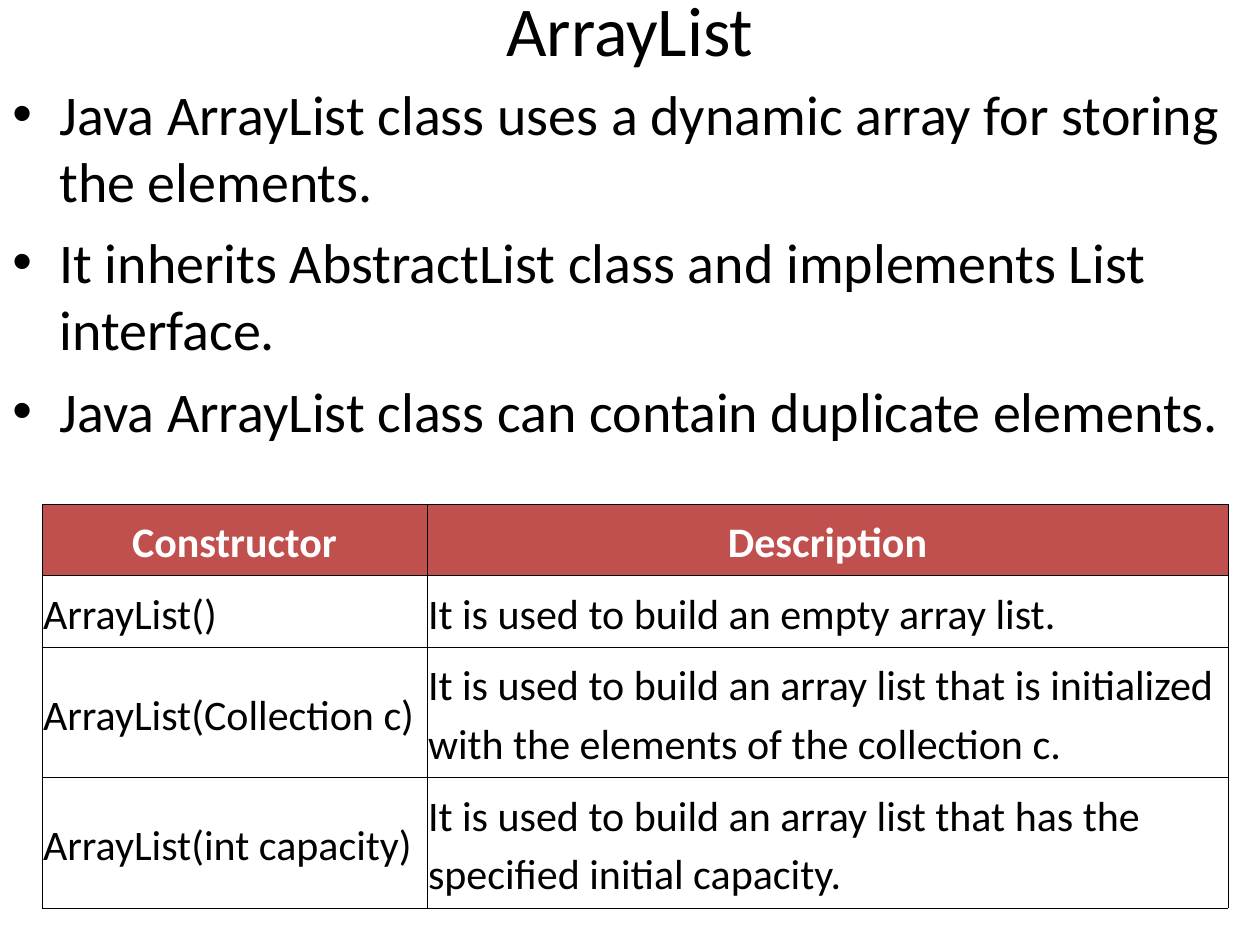
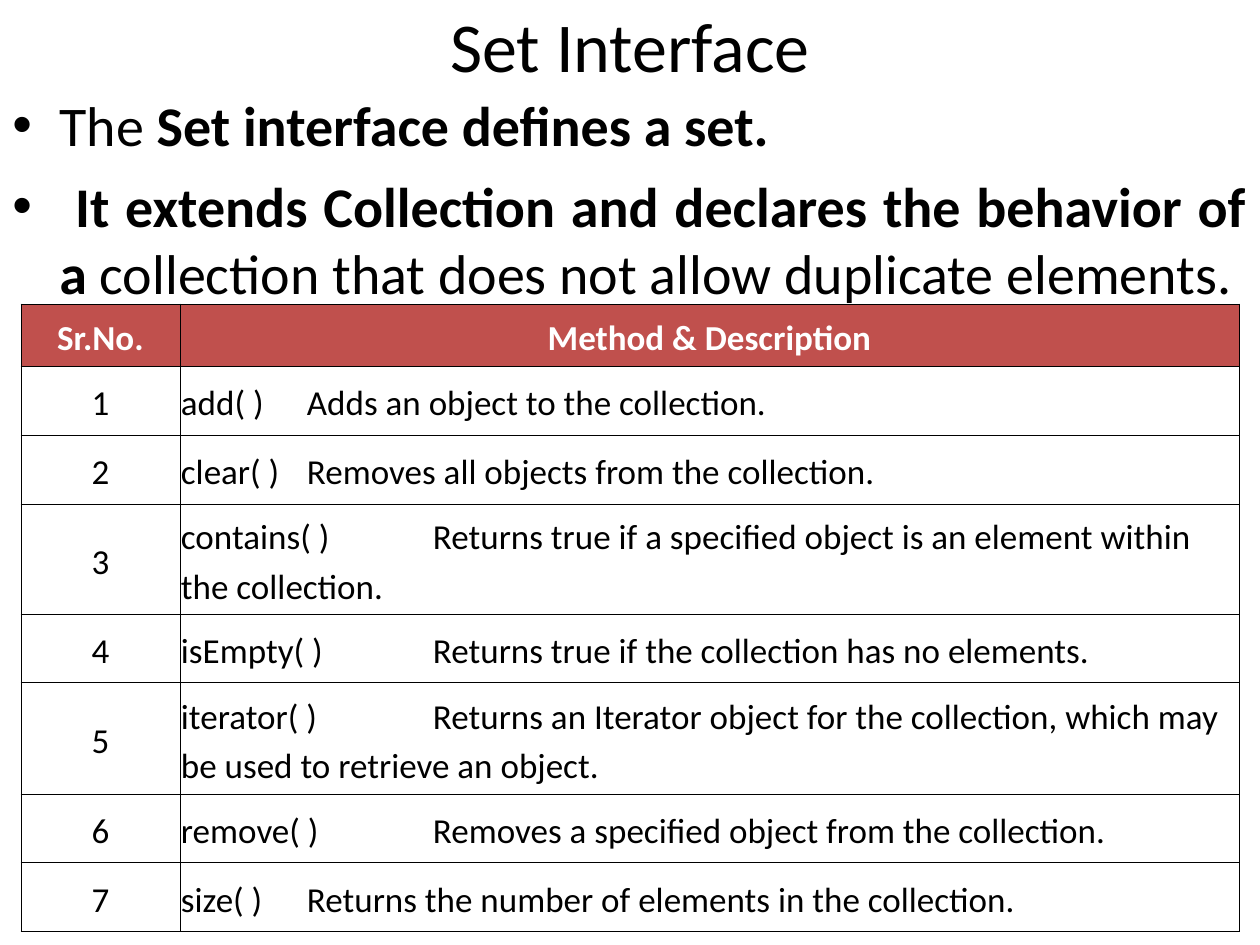
from dataclasses import dataclass

from lxml import etree
from pptx import Presentation
from pptx.dml.color import RGBColor
from pptx.enum.text import MSO_ANCHOR, MSO_AUTO_SIZE, PP_ALIGN
from pptx.oxml.ns import qn
from pptx.util import Emu, Pt


@dataclass(frozen=True)
class Theme:
    font: str = "Calibri"
    bullet_font: str = "Arial"
    ink: str = "000000"
    paper: str = "FFFFFF"
    header: str = "C0504D"
    title_size: int = 40
    body_size: int = 32
    border_width: float = 0.45
    cell_spacing: float = 1.15


THEME = Theme()
TITLE_ONLY = 5
BULLET_INDENT = 47
TAB_STEP = 126


def px(length):
    """Turn px (126 to the inch) into EMU."""
    return Emu(round(length * 914400 / 126))


def write(paragraph, text, *, size, color=THEME.ink, bold=False, align=None,
          before=0, after=0, spacing=None, bullet=False, tab_count=0):
    """Fill a paragraph; text is a string or a list of (string, bold) runs."""
    properties = paragraph._p.get_or_add_pPr()
    if bullet:
        properties.set("marL", str(px(BULLET_INDENT)))
        properties.set("indent", str(-px(BULLET_INDENT)))
        etree.SubElement(properties, qn("a:buFont"),
                         typeface=THEME.bullet_font)
        etree.SubElement(properties, qn("a:buChar"), char="•")
    if tab_count:
        stops = etree.SubElement(properties, qn("a:tabLst"))
        for step in range(tab_count):
            etree.SubElement(stops, qn("a:tab"),
                             pos=str(px(step * TAB_STEP)), algn="l")
    paragraph.alignment = align
    paragraph.space_before = Pt(before)
    paragraph.space_after = Pt(after)
    paragraph.line_spacing = spacing
    runs = [(text, bold)] if isinstance(text, str) else text
    for words, is_bold in runs:
        run = paragraph.add_run()
        run.text = words
        run.font.name = THEME.font
        run.font.size = Pt(size)
        run.font.bold = is_bold
        run.font.color.rgb = RGBColor.from_string(color)


def add_titled_slide(deck, title, height):
    slide = deck.slides.add_slide(deck.slide_layouts[TITLE_ONLY])
    heading = slide.shapes.title
    heading.left, heading.top = px(63), px(0)
    heading.width, heading.height = px(1134), px(height)
    frame = heading.text_frame
    frame.auto_size = MSO_AUTO_SIZE.NONE
    frame.vertical_anchor = MSO_ANCHOR.MIDDLE
    write(frame.paragraphs[0], title, size=THEME.title_size,
          align=PP_ALIGN.CENTER)
    return slide


def add_bullets(slide, box, points, align=PP_ALIGN.LEFT):
    frame = slide.shapes.add_textbox(*map(px, box)).text_frame
    frame.word_wrap = True
    for index, point in enumerate(points):
        paragraph = frame.add_paragraph() if index else frame.paragraphs[0]
        write(paragraph, point, size=THEME.body_size, align=align,
              before=8 if index else 0, bullet=True)


def border_cell(cell):
    properties = cell._tc.get_or_add_tcPr()
    for side in ("lnL", "lnR", "lnT", "lnB"):
        line = etree.SubElement(properties, qn(f"a:{side}"),
                                w=str(Pt(THEME.border_width)))
        fill = etree.SubElement(line, qn("a:solidFill"))
        etree.SubElement(fill, qn("a:srgbClr"), val=THEME.ink)


def add_reference_table(slide, origin, widths, heights, rows, *, size,
                        header_after=0, centred_columns=()):
    """Place a table whose first row is the coloured header."""
    left, top = origin
    table = slide.shapes.add_table(
        len(rows), len(widths), px(left), px(top),
        px(sum(widths)), px(sum(heights))).table
    table.horz_banding = False
    for column, width in zip(table.columns, widths):
        column.width = px(width)
    for row_index, (texts, height) in enumerate(zip(rows, heights)):
        table.rows[row_index].height = px(height)
        is_header = row_index == 0
        for column_index, text in enumerate(texts):
            cell = table.cell(row_index, column_index)
            border_cell(cell)
            cell.fill.solid()
            cell.fill.fore_color.rgb = RGBColor.from_string(
                THEME.header if is_header else THEME.paper)
            cell.margin_left = cell.margin_right = px(1)
            cell.margin_top = cell.margin_bottom = px(6)
            cell.vertical_anchor = MSO_ANCHOR.MIDDLE
            centred = is_header or column_index in centred_columns
            write(cell.text_frame.paragraphs[0], text, size=size,
                  color=THEME.paper if is_header else THEME.ink,
                  bold=is_header, spacing=THEME.cell_spacing,
                  align=PP_ALIGN.CENTER if centred else PP_ALIGN.LEFT,
                  after=header_after if centred else 10, tab_count=8)


def build_array_list(deck):
    slide = add_titled_slide(deck, "ArrayList", 57)
    add_bullets(slide, (0, 73, 1260, 399), [
        "Java ArrayList class uses a dynamic array for storing the elements.",
        "It inherits AbstractList class and implements List interface.",
        "Java ArrayList class can contain duplicate elements.",
    ])
    constructors = [
        ("Constructor", "Description"),
        ("ArrayList()", "It is used to build an empty array list."),
        ("ArrayList(Collection c)",
         "It is used to build an array list that is initialized with the "
         "elements of the collection c."),
        ("ArrayList(int capacity)",
         "It is used to build an array list that has the specified initial "
         "capacity."),
    ]
    add_reference_table(slide, (42, 504), (385, 801), (71, 72, 130, 131),
                        constructors, size=24, header_after=10)


def build_set_interface(deck):
    slide = add_titled_slide(deck, "Set Interface", 89)
    add_bullets(slide, (0, 84, 1260, 231), [
        [("The ", False), ("Set interface defines a set.", True)],
        [(" It extends Collection and declares the behavior of a ", True),
         ("collection that does not allow duplicate elements.", False)],
    ], align=PP_ALIGN.JUSTIFY)
    methods = [
        ("add", "Adds an object to the collection."),
        ("clear", "Removes all objects from the collection."),
        ("contains", "Returns true if a specified object is an element "
                     "within the collection."),
        ("isEmpty", "Returns true if the collection has no elements."),
        ("iterator", "Returns an Iterator object for the collection, which "
                     "may be used to retrieve an object."),
        ("remove", "Removes a specified object from the collection."),
        ("size", "Returns the number of elements in the collection."),
    ]
    rows = [("Sr.No.", "Method & Description")]
    rows += [(str(number), f"{method}( )\t{description}")
             for number, (method, description) in enumerate(methods, 1)]
    add_reference_table(slide, (21, 304), (159, 1059),
                        (62, 69, 69, 111, 68, 112, 68, 69), rows,
                        size=20, centred_columns=(0,))


def main():
    deck = Presentation()
    deck.slide_width, deck.slide_height = px(1260), px(945)
    build_array_list(deck)
    build_set_interface(deck)
    deck.save("out.pptx")


if __name__ == "__main__":
    main()
